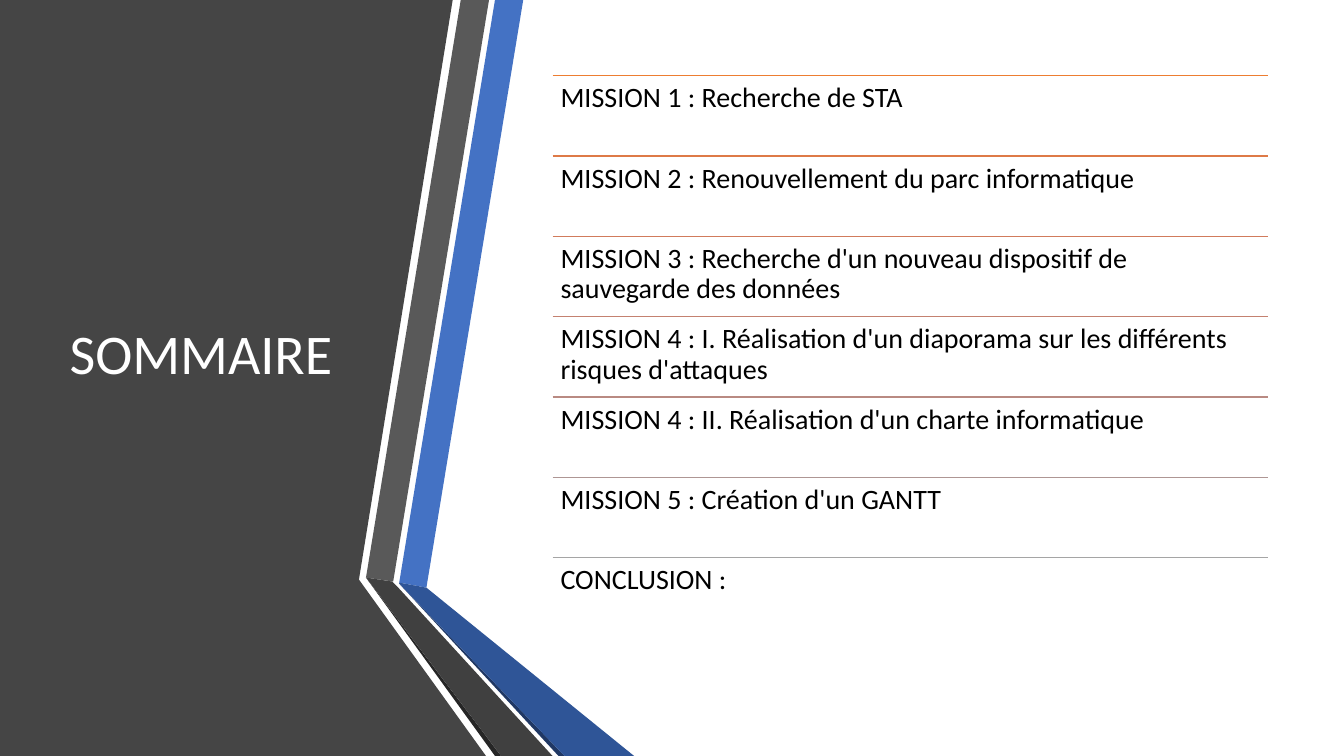
import lxml.etree
import pptx
import pptx.dml.color
import pptx.enum.shapes
import pptx.enum.text
import pptx.oxml.ns
import pptx.util

Inches = pptx.util.Inches
RGBColor = pptx.dml.color.RGBColor

WHITE = RGBColor(0xFF, 0xFF, 0xFF)
BLACK = RGBColor(0x00, 0x00, 0x00)
PANEL_GREY = RGBColor(0x45, 0x45, 0x45)
BAND_BLUE = RGBColor(0x44, 0x72, 0xC4)
BAND_GREY = RGBColor(0x59, 0x59, 0x59)
EDGE_GREY = RGBColor(0x26, 0x26, 0x26)
EDGE_BLUE = RGBColor(0x20, 0x38, 0x64)
FOLD_BLUE = RGBColor(0x2F, 0x55, 0x97)
FOLD_GREY = RGBColor(0x40, 0x40, 0x40)

RIBBONS = [
    (PANEL_GREY, [(0, 0), (4.49, 0), (3.56, 5.75), (4.82, 7.5), (0, 7.5)]),
    (BAND_BLUE, [(3.96, 5.78), (4.23, 5.83), (5.19, 0), (4.91, 0)]),
    (BAND_GREY, [(4.85, 0), (4.57, 0), (3.63, 5.73), (3.9, 5.77)]),
    (EDGE_GREY, [(3.63, 5.73), (4.91, 7.5), (4.97, 7.5)]),
    (EDGE_BLUE, [(3.96, 5.79), (5.54, 7.5), (5.6, 7.5)]),
    (FOLD_BLUE, [(3.96, 5.79), (5.6, 7.5), (6.29, 7.5), (4.23, 5.83), (3.96, 5.78)]),
    (FOLD_GREY, [(5.48, 7.5), (3.95, 5.83), (3.89, 5.77), (3.63, 5.73), (4.97, 7.5)]),
]

AGENDA = [
    ("MISSION 1 : Recherche de STA", RGBColor(0xED, 0x7D, 0x31)),
    ("MISSION 2 : Renouvellement du parc informatique", RGBColor(0xDE, 0x7A, 0x47)),
    ("MISSION 3 : Recherche d'un nouveau dispositif de sauvegarde des données",
     RGBColor(0xD1, 0x7B, 0x5C)),
    ("MISSION 4 : I. Réalisation d'un diaporama sur les différents risques d'attaques",
     RGBColor(0xC4, 0x81, 0x70)),
    ("MISSION 4 : II. Réalisation d'un charte informatique", RGBColor(0xB9, 0x8A, 0x82)),
    ("MISSION 5 : Création d'un GANTT", RGBColor(0xAE, 0x96, 0x94)),
    ("CONCLUSION :", RGBColor(0xA5, 0xA5, 0xA5)),
]
AGENDA_LEFT, AGENDA_TOP, AGENDA_WIDTH, AGENDA_HEIGHT = 5.48, 0.75, 7.1, 5.58


def write_text(frame, text, *, size, color, anchor, margin_x, margin_y):
    frame.word_wrap = True
    frame.auto_size = pptx.enum.text.MSO_AUTO_SIZE.NONE
    frame.vertical_anchor = anchor
    frame.margin_left = frame.margin_right = Inches(margin_x)
    frame.margin_top = frame.margin_bottom = Inches(margin_y)
    paragraph = frame.paragraphs[0]
    paragraph.alignment = pptx.enum.text.PP_ALIGN.LEFT
    paragraph.line_spacing = 0.9
    run = paragraph.add_run()
    run.text = text
    run.font.name = "Calibri"
    run.font.size = pptx.util.Pt(size)
    run.font.color.rgb = color


def add_ribbon(slide, color, corners):
    points = [(Inches(x), Inches(y)) for x, y in corners]
    builder = slide.shapes.build_freeform(*points[0])
    builder.add_line_segments(points[1:], close=True)
    ribbon = builder.convert_to_shape()
    ribbon.shadow.inherit = False
    ribbon.fill.solid()
    ribbon.fill.fore_color.rgb = color
    ribbon.line.fill.background()


def add_title(slide, text):
    title = slide.shapes.title
    title.left, title.top = Inches(0.59), Inches(0.75)
    title.width, title.height = Inches(3.04), Inches(5.58)
    write_text(title.text_frame, text, size=40, color=WHITE,
               anchor=pptx.enum.text.MSO_ANCHOR.MIDDLE, margin_x=0.1, margin_y=0.05)


def add_rule(slide, top, color):
    rule = slide.shapes.add_connector(
        pptx.enum.shapes.MSO_CONNECTOR.STRAIGHT, Inches(AGENDA_LEFT), Inches(top),
        Inches(AGENDA_LEFT + AGENDA_WIDTH), Inches(top))
    rule.line.color.rgb = color
    rule.line.width = pptx.util.Pt(1)
    lxml.etree.SubElement(rule._element.spPr, pptx.oxml.ns.qn("a:effectLst"))


def add_agenda(slide):
    row_height = AGENDA_HEIGHT / len(AGENDA)
    for index, (entry, color) in enumerate(AGENDA):
        top = AGENDA_TOP + index * row_height
        add_rule(slide, top, color)
        row = slide.shapes.add_textbox(Inches(AGENDA_LEFT), Inches(top),
                                       Inches(AGENDA_WIDTH), Inches(row_height))
        write_text(row.text_frame, entry, size=20, color=BLACK,
                   anchor=pptx.enum.text.MSO_ANCHOR.TOP, margin_x=0.08, margin_y=0.08)


def main():
    deck = pptx.Presentation()
    deck.slide_width, deck.slide_height = Inches(13.33), Inches(7.5)
    slide = deck.slides.add_slide(deck.slide_layouts.get_by_name("Title Only"))
    slide.background.fill.solid()
    slide.background.fill.fore_color.rgb = WHITE
    for color, corners in RIBBONS:
        add_ribbon(slide, color, corners)
    add_title(slide, "SOMMAIRE")
    title_element = slide.shapes.title._element
    title_element.getparent().append(title_element)
    add_agenda(slide)
    deck.save("out.pptx")


if __name__ == "__main__":
    main()
